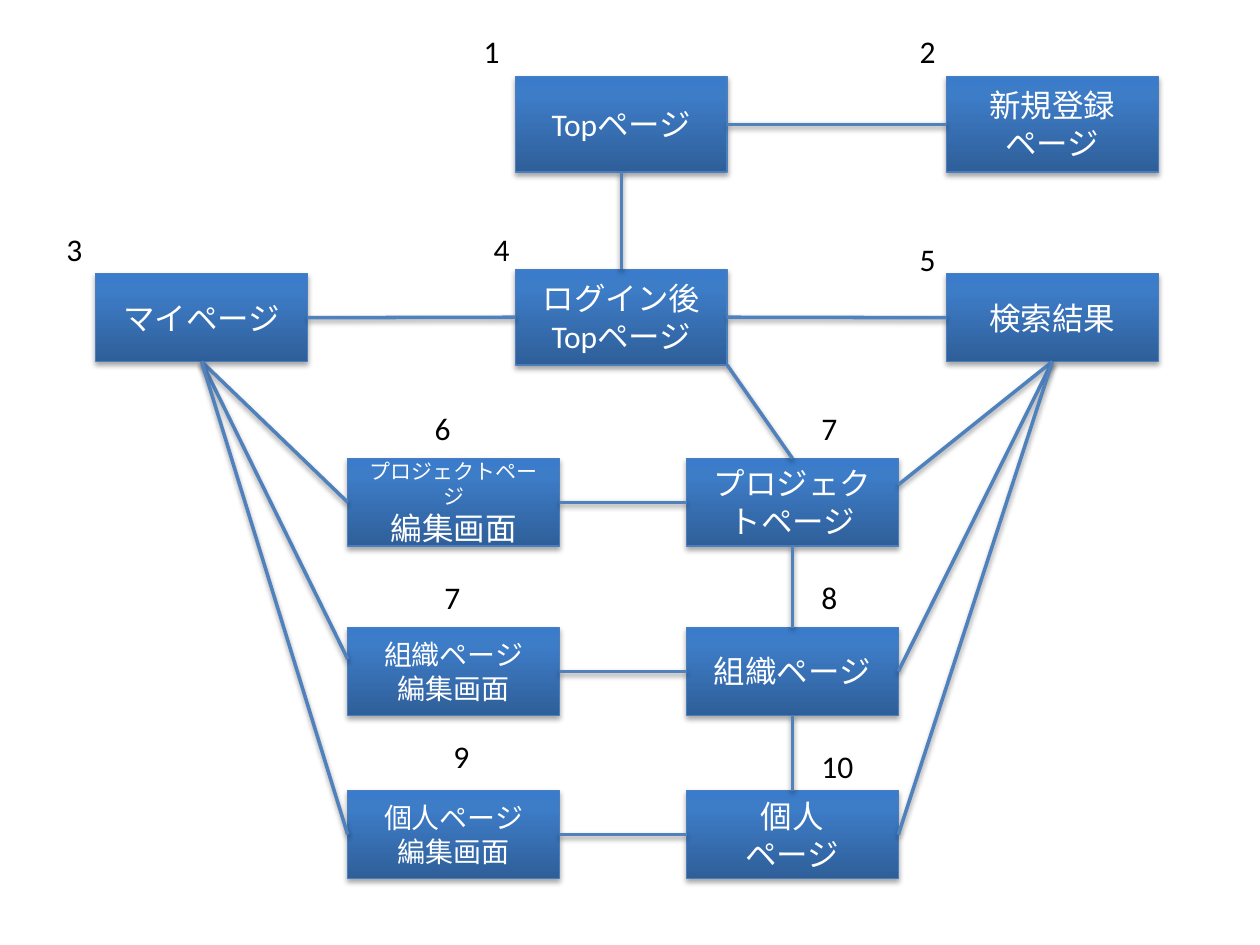
from dataclasses import dataclass

from pptx import Presentation
from pptx.dml.color import RGBColor
from pptx.enum.shapes import MSO_CONNECTOR as Connector, MSO_SHAPE as Preset
from pptx.enum.text import MSO_ANCHOR as Anchor, MSO_AUTO_SIZE as AutoSize, PP_ALIGN as Align
from pptx.oxml import parse_xml
from pptx.oxml.ns import nsdecls
from pptx.util import Cm, Pt

COLORS = {
    "bottom": "2F5F99", "middle": "3D7CC7", "top": "3A7CCB", "border": "4B7EBC",
    "link": "4F81BD", "shadow": "000000", "page_text": "FFFFFF", "number": "000000",
}
FONT = "Calibri"
PAGE_WIDTH, TALL, LOW = 4.27, 1.93, 1.77
MY_X, EDIT_X, TOP_X, VIEW_X, RIGHT_X = 1.93, 7.01, 10.39, 13.84, 19.08
PROJECT_Y, GROUP_Y, PERSON_Y = 9.24, 12.65, 15.94

# Points on a page box as shares of its width and height
TOP, LEFT, BOTTOM, RIGHT = (0.5, 0), (0, 0.5), (0.5, 1), (1, 0.5)
SITES = {TOP: 0, LEFT: 1, BOTTOM: 2, RIGHT: 3}


@dataclass(frozen=True)
class Page:
    """A page of the site map; lengths in centimetres."""
    lines: tuple
    left: float
    top: float
    height: float
    number: str
    number_at: tuple
    sizes: tuple = (18, 18)


@dataclass(frozen=True)
class Link:
    """A line between points on two pages."""
    start: str
    start_point: tuple
    end: str
    end_point: tuple


PAGES = {
    "top": Page(("Topページ",), TOP_X, 1.54, TALL, "1", (9.5, 0.53)),
    "home": Page(("ログイン後", "Topページ"), TOP_X, 5.43, TALL, "4", (9.7, 4.52)),
    "signup": Page(("新規登録", "ページ"), RIGHT_X, 1.54, TALL, "2", (18.29, 0.53)),
    "search": Page(("検索結果",), RIGHT_X, 5.52, LOW, "5", (18.29, 4.72)),
    "mine": Page(("マイページ",), MY_X, 5.52, LOW, "3", (1.09, 4.52)),
    "project_edit": Page(("プロジェクトページ", "編集画面"), EDIT_X, PROJECT_Y, LOW,
                         "6", (8.51, 8.13), (12, 18)),
    "group_edit": Page(("組織ページ", "編集画面"), EDIT_X, GROUP_Y, LOW,
                       "7", (8.71, 11.53), (16, 16)),
    "person_edit": Page(("個人ページ", "編集画面"), EDIT_X, PERSON_Y, LOW,
                        "9", (8.89, 14.73), (16, 16)),
    "project": Page(("プロジェクトページ",), VIEW_X, PROJECT_Y, LOW, "7", (16.31, 8.13)),
    "group": Page(("組織ページ",), VIEW_X, GROUP_Y, LOW, "8", (16.31, 11.53)),
    "person": Page(("個人", "ページ"), VIEW_X, PERSON_Y, LOW, "10", (16.31, 14.94)),
}

LINKS = [
    Link("top", BOTTOM, "home", TOP),
    Link("top", RIGHT, "signup", LEFT),
    Link("home", LEFT, "mine", RIGHT),
    Link("search", LEFT, "home", RIGHT),
    Link("search", BOTTOM, "project", (1, 0.3)),
    Link("search", BOTTOM, "group", RIGHT),
    Link("search", BOTTOM, "person", RIGHT),
    Link("mine", BOTTOM, "project_edit", LEFT),
    Link("mine", BOTTOM, "group_edit", (0, 0.36)),
    Link("mine", BOTTOM, "person_edit", LEFT),
    Link("home", (1, 1), "project", TOP),
    Link("project", BOTTOM, "group", TOP),
    Link("group", BOTTOM, "person", TOP),
    *(Link(view, LEFT, f"{view}_edit", RIGHT) for view in ("project", "group", "person")),
]


def rgb(name: str) -> RGBColor:
    """Look up a named colour."""
    return RGBColor.from_string(COLORS[name])


def add_shadow(item, distance: float, opacity: int) -> None:
    """Give a shape or connector a soft shadow below it."""
    item._element.spPr.append(parse_xml(
        f'<a:effectLst {nsdecls("a")}><a:outerShdw blurRad="{Pt(3.1)}" '
        f'dist="{Pt(distance)}" dir="5400000" rotWithShape="0">'
        f'<a:srgbClr val="{COLORS["shadow"]}"><a:alpha val="{opacity * 1000}"/></a:srgbClr>'
        '</a:outerShdw></a:effectLst>'))


def fill_gradient(shape) -> None:
    """Fill a shape from dark at the bottom to light at the top."""
    shape.fill.solid()
    properties = shape._element.spPr
    stops = "".join(
        f'<a:gs pos="{share * 1000}"><a:srgbClr val="{COLORS[name]}"/></a:gs>'
        for share, name in ((0, "bottom"), (80, "middle"), (100, "top")))
    gradient = parse_xml(
        f'<a:gradFill {nsdecls("a")} rotWithShape="1"><a:gsLst>{stops}</a:gsLst>'
        '<a:lin ang="16200000" scaled="0"/></a:gradFill>')
    properties.replace(properties.solidFill, gradient)


def format_runs(paragraph, size: float, color: str) -> None:
    """Set font, size and colour of a paragraph's runs."""
    for run in paragraph.runs:
        run.font.name = FONT
        run.font.size = Pt(size)
        run.font.color.rgb = rgb(color)


def add_page(slide, page: Page):
    """Draw a page box and return it."""
    box = slide.shapes.add_shape(Preset.RECTANGLE, Cm(page.left), Cm(page.top),
                                 Cm(PAGE_WIDTH), Cm(page.height))
    fill_gradient(box)
    box.line.color.rgb = rgb("border")
    box.line.width = Pt(0.75)
    add_shadow(box, 1.8, 35)
    frame = box.text_frame
    frame.word_wrap = True
    frame.vertical_anchor = Anchor.MIDDLE
    frame.text = "\n".join(page.lines)
    for paragraph, size in zip(frame.paragraphs, page.sizes):
        paragraph.alignment = Align.CENTER
        format_runs(paragraph, size, "page_text")
    return box


def add_number(slide, page: Page) -> None:
    """Write the number beside a page."""
    left, top = page.number_at
    width = 0.5 + 0.33 * len(page.number)
    label = slide.shapes.add_textbox(Cm(left), Cm(top), Cm(width), Cm(1.03))
    frame = label.text_frame
    frame.word_wrap = False
    frame.auto_size = AutoSize.SHAPE_TO_FIT_TEXT
    frame.text = page.number
    format_runs(frame.paragraphs[0], 18, "number")


def locate(page: Page, point: tuple) -> tuple:
    """Turn a point on a page box into slide lengths."""
    across, down = point
    return Cm(page.left + across * PAGE_WIDTH), Cm(page.top + down * page.height)


def add_link(slide, link: Link, boxes: dict) -> None:
    """Draw a link, attached wherever it meets the middle of a side."""
    line = slide.shapes.add_connector(
        Connector.STRAIGHT, *locate(PAGES[link.start], link.start_point),
        *locate(PAGES[link.end], link.end_point))
    if link.start_point in SITES:
        line.begin_connect(boxes[link.start], SITES[link.start_point])
    if link.end_point in SITES:
        line.end_connect(boxes[link.end], SITES[link.end_point])
    line.line.color.rgb = rgb("link")
    line.line.width = Pt(2)
    add_shadow(line, 1.6, 38)


def main() -> None:
    """Build the site map slide."""
    deck = Presentation()
    deck.slide_width, deck.slide_height = Cm(25.4), Cm(19.05)
    slide = deck.slides.add_slide(deck.slide_layouts[6])
    boxes = {key: add_page(slide, page) for key, page in PAGES.items()}
    for link in LINKS:
        add_link(slide, link, boxes)
    for page in PAGES.values():
        add_number(slide, page)
    deck.save("out.pptx")


main()
